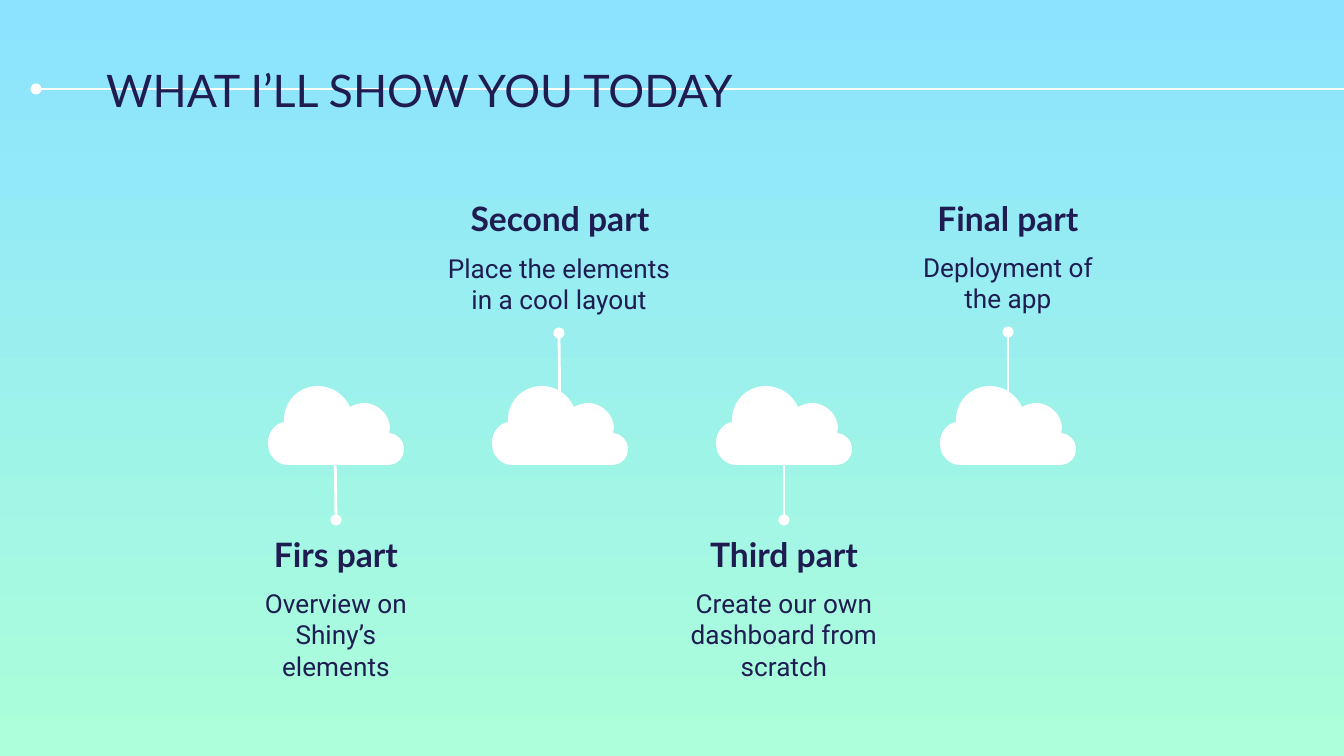
import pptx
import pptx.util
from lxml import etree
from pptx.dml.color import RGBColor
from pptx.enum.shapes import MSO_CONNECTOR
from pptx.enum.text import MSO_ANCHOR, PP_ALIGN
from pptx.oxml.ns import qn

PX = 914400 / 134.4
NAVY = RGBColor(0x1F, 0x1C, 0x51)
WHITE = RGBColor(0xFF, 0xFF, 0xFF)
SKY = RGBColor(0x8B, 0xE3, 0xFF)
MINT = RGBColor(0xAC, 0xFF, 0xD9)

# Cloud outline from its top left corner: a curve has two control points and
# an end point, a straight side only an end point
CLOUD_START = (50, 0)
CLOUD_SIDES = [
    [(31, 0), (16, 15), (16, 34)],
    [(16, 34), (16, 35), (16, 36)],
    [(7, 38), (0, 46), (0, 57)],
    [(0, 69), (8, 78), (19, 79)],
    [(20, 79)],
    [(120, 79)],
    [(129, 79), (136, 72), (136, 63)],
    [(136, 55), (130, 48), (121, 47)],
    [(121, 46), (122, 44), (122, 42)],
    [(122, 29), (110, 17), (96, 17)],
    [(96, 17), (96, 17), (96, 17)],
    [(91, 17), (86, 19), (82, 21)],
    [(77, 9), (64, 0), (50, 0)],
]
CLOUD_WIDTH = 136
CLOUD_TOP = 386

# Heading, description, heading top, description top and width, stem from dot to cloud
PARTS = [
    ("Firs part", "Overview on Shiny’s elements", 520, 574, 216, (336, 520), (335, 442)),
    ("Second part", "Place the elements in a cool layout", 184, 239, 270, (559, 333), (560, 425)),
    ("Third part", "Create our own dashboard from scratch", 520, 574, 216, (784, 520), (784, 442)),
    ("Final part", "Deployment of the app", 184, 238, 216, (1008, 332), (1008, 417)),
]
FIRST_CENTER, PART_GAP = 336, 224
HEADING_WIDTH = 216


def px(length):
    return pptx.util.Emu(round(length * PX))


def add_text(words, left, top, width, height, font, size, bold=False, align=PP_ALIGN.CENTER):
    box = slide.shapes.add_textbox(px(left), px(top), px(width), px(height))
    frame = box.text_frame
    frame.word_wrap = True
    frame.vertical_anchor = MSO_ANCHOR.TOP
    frame.margin_left = frame.margin_right = pptx.util.Inches(0.1)
    frame.margin_top = frame.margin_bottom = pptx.util.Inches(0.1)
    frame.text = words
    paragraph = frame.paragraphs[0]
    paragraph.alignment = align
    run = paragraph.runs[0]
    run.font.name = font
    run.font.size = pptx.util.Pt(size)
    run.font.bold = bold
    run.font.color.rgb = NAVY


deck = pptx.Presentation()
deck.slide_width, deck.slide_height = px(1344), px(756)
slide = deck.slides.add_slide(deck.slide_layouts[6])

sky = slide.background.fill
sky.gradient()
sky.gradient_angle = 270
for stop, color in zip(sky.gradient_stops, (SKY, MINT)):
    stop.color.rgb = color

# White lines, each starting with a dot: the title line, then the stems
for start, end in [((36, 89), (1357, 89))] + [part[5:] for part in PARTS]:
    stem = slide.shapes.add_connector(
        MSO_CONNECTOR.STRAIGHT, px(start[0]), px(start[1]), px(end[0]), px(end[1]))
    stem.line.color.rgb = WHITE
    stem.line.width = pptx.util.Pt(1.5)
    etree.SubElement(stem.line._get_or_add_ln(), qn("a:headEnd"), type="oval")
    etree.SubElement(stem._element.spPr, qn("a:effectLst"))

add_text("WHAT I’LL SHOW YOU TODAY", 93, 49, 894, 79, "Lato", 24, align=PP_ALIGN.LEFT)

for index, (heading, description, heading_top, text_top, text_width, dot, _) in enumerate(PARTS):
    center = FIRST_CENTER + index * PART_GAP
    builder = slide.shapes.build_freeform(*CLOUD_START, scale=PX)
    builder.add_line_segments([side[-1] for side in CLOUD_SIDES], close=True)
    cloud = builder.convert_to_shape(px(center - CLOUD_WIDTH / 2), px(CLOUD_TOP))
    # Bend the sides that have control points
    for line, side in zip(list(cloud._element.iter(qn("a:lnTo"))), CLOUD_SIDES):
        if len(side) == 3:
            line.addprevious(curve := etree.Element(qn("a:cubicBezTo")))
            for x, y in side:
                etree.SubElement(curve, qn("a:pt"), x=str(x), y=str(y))
            line.getparent().remove(line)
    cloud.shadow.inherit = False
    cloud.fill.solid()
    cloud.fill.fore_color.rgb = WHITE
    cloud.line.fill.background()

    add_text(description, dot[0] - text_width / 2, text_top, text_width, 95, "Roboto", 14)
    add_text(heading, center - HEADING_WIDTH / 2, heading_top, HEADING_WIDTH, 79,
             "Lato", 18, bold=True)

deck.save("out.pptx")
